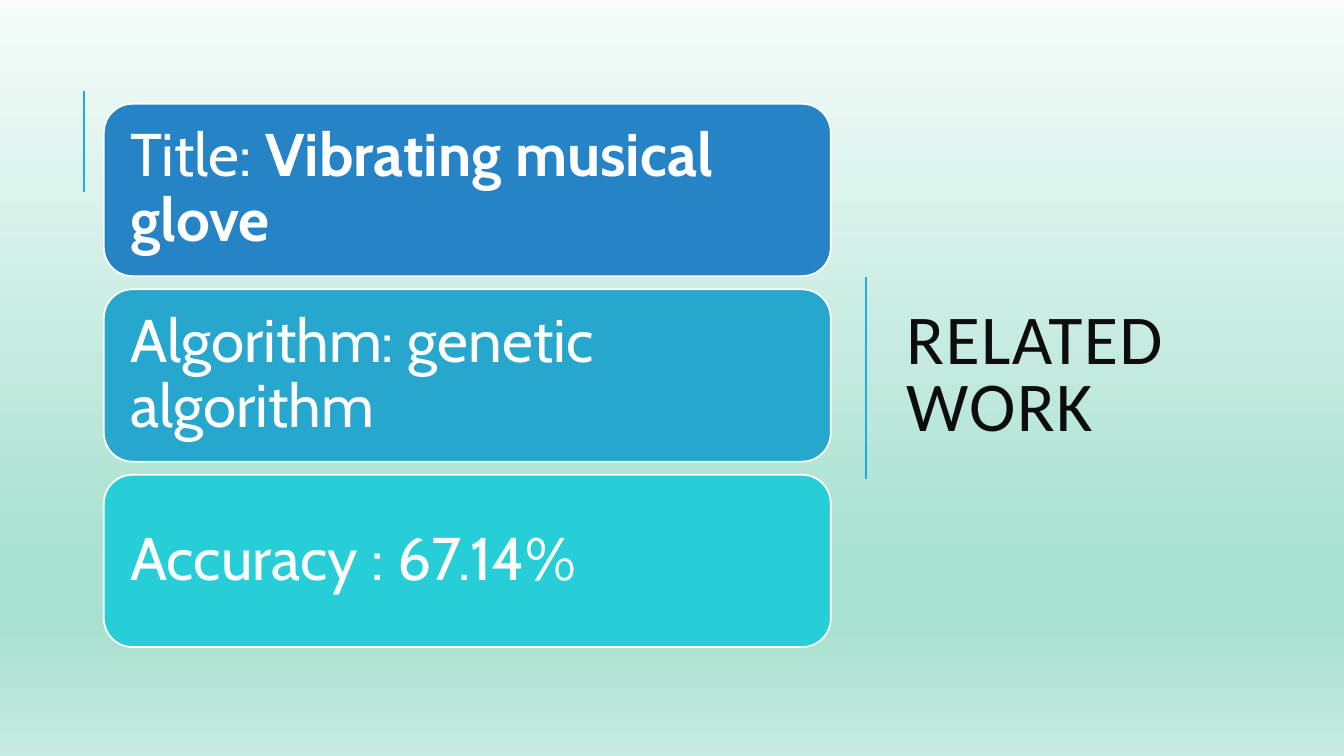
from lxml.etree import SubElement
from pptx import Presentation
from pptx.dml.color import RGBColor
from pptx.enum.shapes import MSO_CONNECTOR, MSO_SHAPE
from pptx.enum.text import MSO_ANCHOR, PP_ALIGN
from pptx.oxml.ns import qn
from pptx.util import Inches, Pt

WHITE = RGBColor(0xFF, 0xFF, 0xFF)
TITLE_INK = RGBColor(0x0D, 0x0D, 0x0D)
ACCENT = RGBColor(0x1C, 0xAD, 0xE4)
BLUE = RGBColor(0x26, 0x83, 0xC6)
TEAL = RGBColor(0x27, 0xA7, 0xCE)
TURQUOISE = RGBColor(0x27, 0xCE, 0xD7)
MINT = RGBColor(0xA9, 0xE1, 0xD0)
BACKGROUND_STOPS = [
    (0, RGBColor(0xF5, 0xFC, 0xFA)),
    (74, MINT),
    (83, MINT),
    (100, RGBColor(0xC6, 0xEB, 0xE0)),
]

CARD_LEFT, CARD_TOP = 1.03, 1.03
CARD_WIDTH, CARD_HEIGHT = 7.21, 1.71
ROW_PITCH = 1.84
CARD_INSET = Inches(0.18)

# Each card is a fill and a list of (text, bold) runs.
CARDS = [
    (BLUE, [("Title: ", False), ("Vibrating musical glove", True)]),
    (TEAL, [("Algorithm: genetic algorithm", False)]),
    (TURQUOISE, [("Accuracy : 67.14%", False)]),
]


def set_background(slide):
    fill = slide.background.fill
    fill.gradient()
    fill.gradient_angle = 270
    stop_list = slide.background._cSld.find(".//" + qn("a:gsLst"))
    stop_list.clear()
    for percent, color in BACKGROUND_STOPS:
        stop = SubElement(stop_list, qn("a:gs"), pos=str(percent * 1000))
        SubElement(stop, qn("a:srgbClr"), val=str(color))


def add_vertical_rule(slide, x, top, bottom):
    rule = slide.shapes.add_connector(
        MSO_CONNECTOR.STRAIGHT, Inches(x), Inches(bottom), Inches(x), Inches(top))
    rule.line.color.rgb = ACCENT
    rule.line.width = Pt(1.5)
    SubElement(rule._element.spPr, qn("a:effectLst"))


def add_title(slide, text):
    box = slide.shapes.add_textbox(
        Inches(8.89), Inches(0.7), Inches(3.8), Inches(6.09))
    frame = box.text_frame
    frame.word_wrap = True
    frame.vertical_anchor = MSO_ANCHOR.MIDDLE
    paragraph = frame.paragraphs[0]
    paragraph.line_spacing = 0.8
    run = paragraph.add_run()
    run.text = text
    run._r.get_or_add_rPr().set("spc", "100")
    paragraph.font.name = "Calibri"
    paragraph.font.size = Pt(50)
    paragraph.font.color.rgb = TITLE_INK


def add_card(slide, row, color, runs):
    card = slide.shapes.add_shape(
        MSO_SHAPE.ROUNDED_RECTANGLE,
        Inches(CARD_LEFT), Inches(CARD_TOP + row * ROW_PITCH),
        Inches(CARD_WIDTH), Inches(CARD_HEIGHT))
    card.shadow.inherit = False
    card.fill.solid()
    card.fill.fore_color.rgb = color
    card.line.color.rgb = WHITE
    card.line.width = Pt(1.25)

    frame = card.text_frame
    frame.word_wrap = True
    frame.vertical_anchor = MSO_ANCHOR.MIDDLE
    frame.margin_left = frame.margin_right = CARD_INSET
    frame.margin_top = frame.margin_bottom = CARD_INSET
    paragraph = frame.paragraphs[0]
    paragraph.alignment = PP_ALIGN.LEFT
    paragraph.line_spacing = 0.9
    paragraph.font.name = "Cabin"
    paragraph.font.size = Pt(43)
    paragraph.font.color.rgb = WHITE
    for text, bold in runs:
        run = paragraph.add_run()
        run.text = text
        run.font.bold = bold


def main():
    presentation = Presentation()
    presentation.slide_width = Inches(13.33)
    presentation.slide_height = Inches(7.5)
    slide = presentation.slides.add_slide(presentation.slide_layouts[6])

    set_background(slide)
    add_vertical_rule(slide, 0.83, 0.9, 1.9)
    add_title(slide, "RELATED WORK")
    add_vertical_rule(slide, 8.59, 2.75, 4.75)
    for row, (color, runs) in enumerate(CARDS):
        add_card(slide, row, color, runs)

    presentation.save("out.pptx")


if __name__ == "__main__":
    main()
